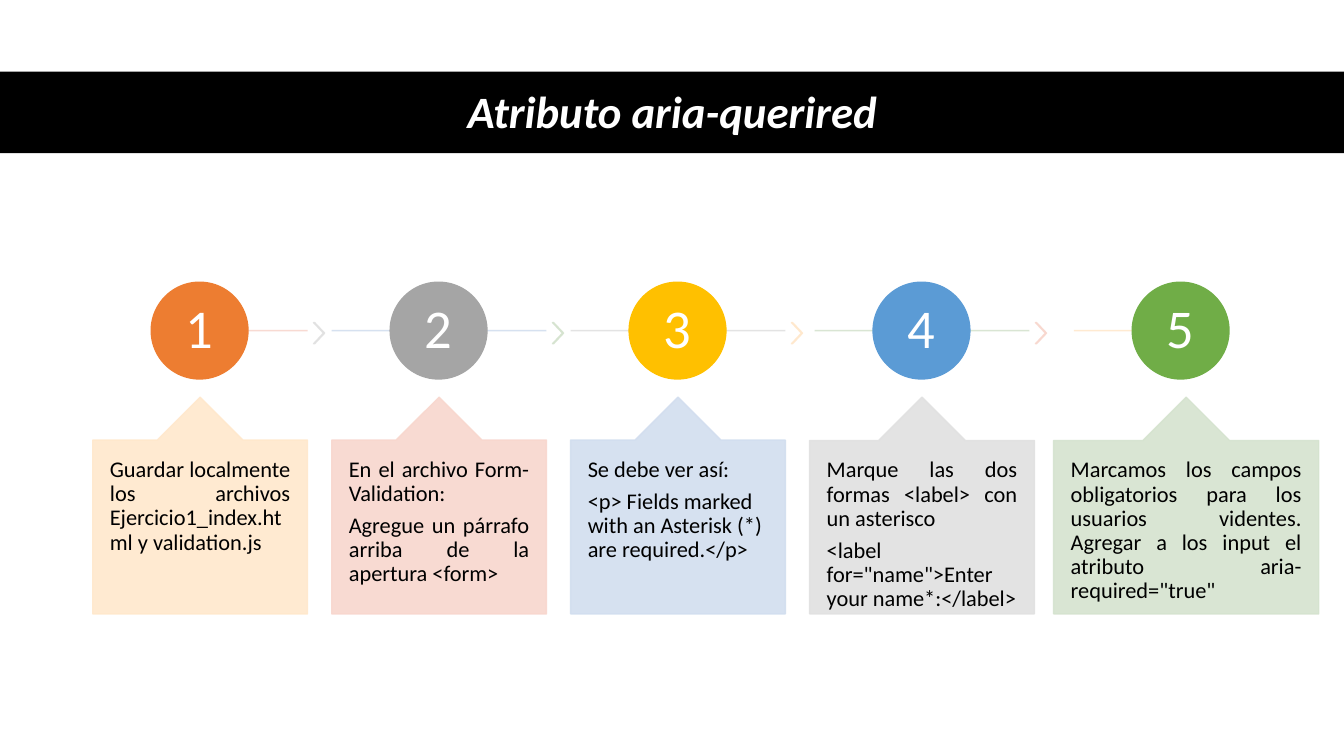
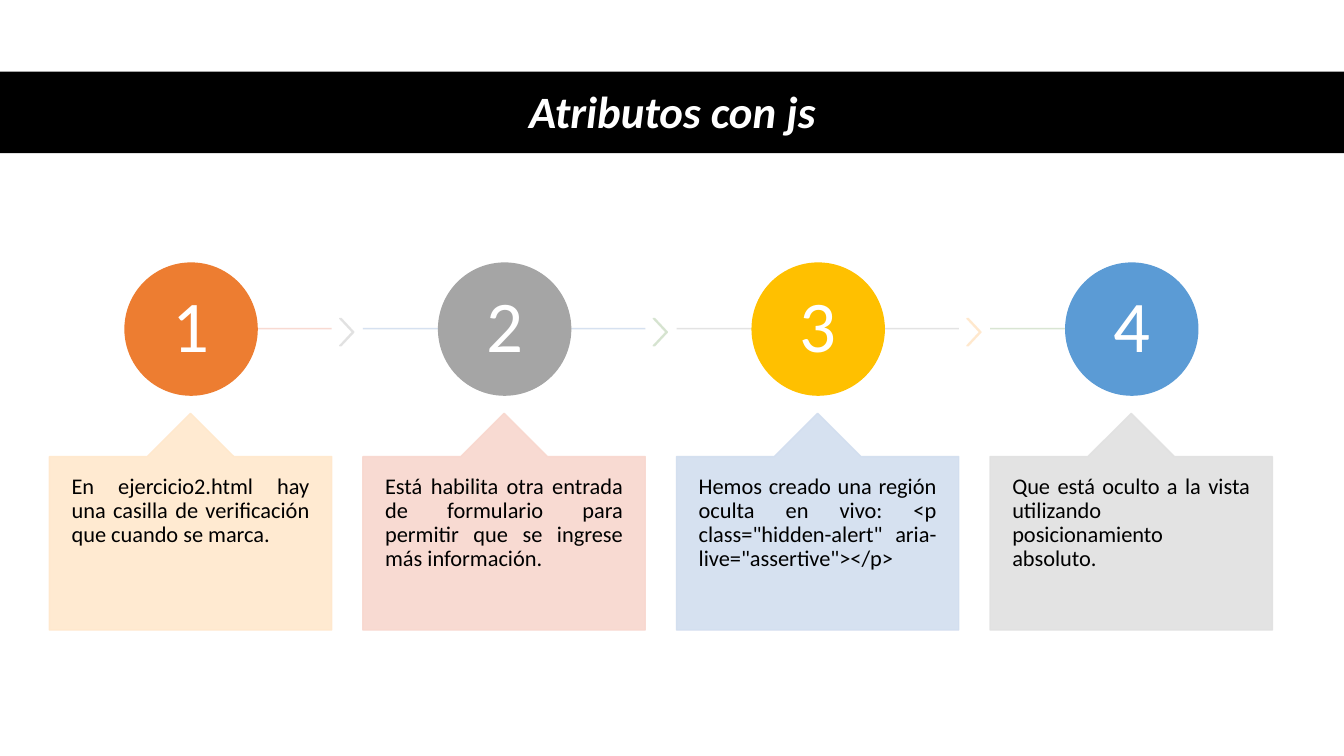
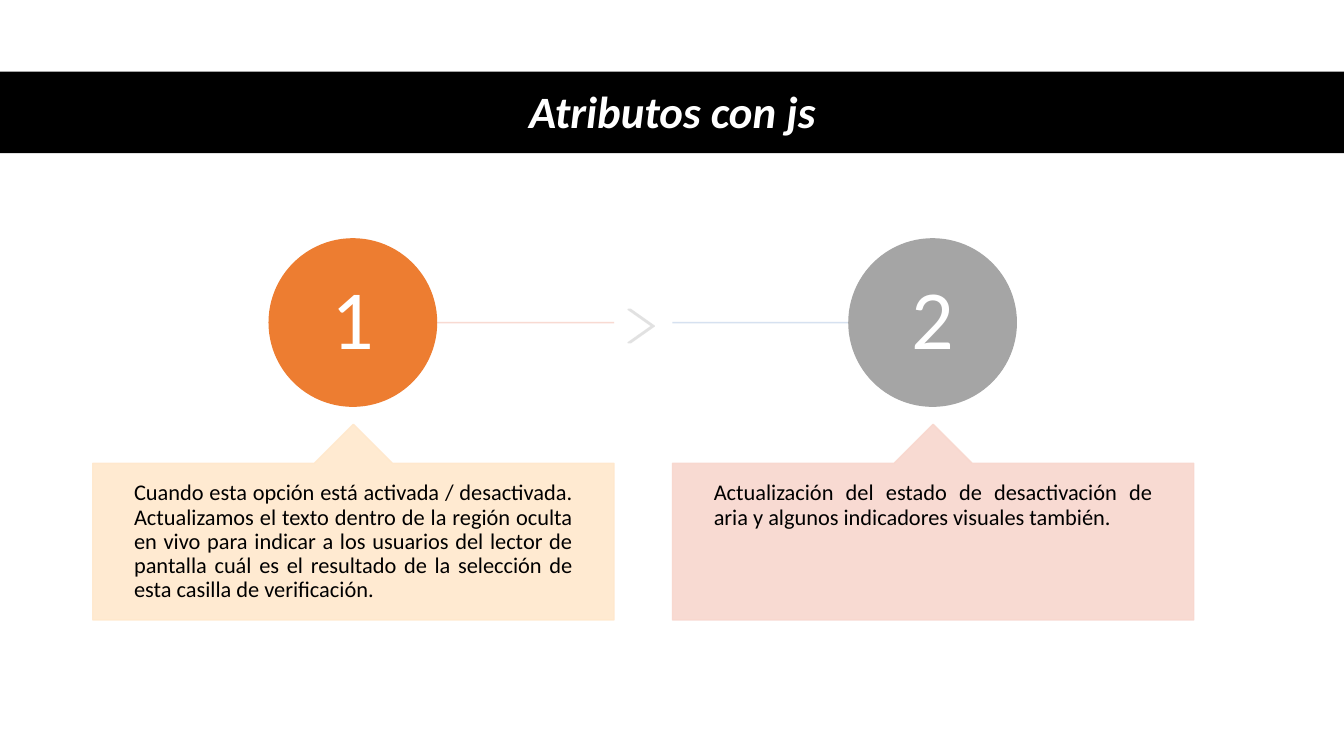
from dataclasses import dataclass

import lxml.etree
import pptx
import pptx.dml.color
import pptx.enum.shapes
import pptx.enum.text
import pptx.oxml.ns
import pptx.util

RGB = pptx.dml.color.RGBColor
KIND = pptx.enum.shapes.MSO_SHAPE
ALIGN = pptx.enum.text.PP_ALIGN
ANCHOR = pptx.enum.text.MSO_ANCHOR
Pt = pptx.util.Pt
qn = pptx.oxml.ns.qn

# Shared look
PX = 9144  # 100 px to the inch
WIDE, HIGH = 1333, 750
FONT = "Calibri"
BLACK = RGB(0x00, 0x00, 0x00)
WHITE = RGB(0xFF, 0xFF, 0xFF)
ORANGE = RGB(0xED, 0x7D, 0x31)
GRAY = RGB(0xA5, 0xA5, 0xA5)
GOLD = RGB(0xFF, 0xC0, 0x00)
BLUE = RGB(0x5B, 0x9B, 0xD5)
GREEN = RGB(0x70, 0xAD, 0x47)
PEACH = RGB(0xFF, 0xE8, 0xCC)
ROSE = RGB(0xF8, 0xD7, 0xCE)
SKY = RGB(0xD2, 0xDE, 0xEF)
SILVER = RGB(0xE1, 0xE1, 0xE1)
MINT = RGB(0xD5, 0xE3, 0xCF)
SOLIDS = [ORANGE, GRAY, GOLD, BLUE, GREEN]
TINTS = [PEACH, ROSE, SKY, SILVER, MINT]


@dataclass
class Step:
    text: list[str]
    align: ALIGN = ALIGN.JUSTIFY
    nudge: int = 0  # moves the slot to the right
    grow: int = 0   # widens the note around the slot
    shift: int = 0  # moves the note alone


@dataclass
class Flow:
    title: str
    left: int
    pitch: int
    width: int
    disc: tuple[int, int]              # top, size
    digit: int                         # points
    rail: int                          # height of the line
    arrow: tuple[int, int, int, int]   # gap, top, width, height
    note: tuple[int, int]              # top, height
    inset: int
    steps: list[Step]


FLOWS = [
    Flow("Atributo aria-querired", 92, 237, 213, (280, 96), 39, 328,
         (6, 320, 11, 21), (394, 215), 17, [
             Step(["Guardar localmente los archivos Ejercicio1_index.html y validation.js"]),
             Step(["En el archivo Form-Validation:",
                   "Agregue un párrafo arriba de la apertura <form>"]),
             Step(["Se debe ver así:",
                   "<p> Fields marked with an Asterisk (*) are required.</p>"], ALIGN.LEFT),
             Step(["Marque las dos formas <label> con un asterisco",
                   '<label for="name">Enter your name*:</label>'], nudge=5, grow=10),
             Step(["Marcamos los campos obligatorios para los usuarios videntes. "
                   'Agregar a los input el atributo aria-required="true"'],
                  nudge=25, grow=50, shift=5),
         ]),
    Flow("Atributos con js", 49, 311, 280, (261, 131), 52, 326,
         (8, 316, 14, 27), (410, 215), 22, [
             Step(["En ejercicio2.html hay una casilla de verificación que cuando se marca."]),
             Step(["Está habilita otra entrada de formulario para permitir que se "
                   "ingrese más información."]),
             Step(["Hemos creado una región oculta en vivo: "
                   '<p class="hidden-alert" aria-live="assertive"></p>']),
             Step(["Que está oculto a la vista utilizando posicionamiento absoluto."]),
         ]),
    Flow("Atributos con js", 92, 575, 517, (237, 166), 60, 320,
         (14, 307, 26, 33), (421, 194), 41, [
             Step(["Cuando esta opción está activada / desactivada. Actualizamos el texto "
                   "dentro de la región oculta en vivo para indicar a los usuarios del "
                   "lector de pantalla cuál es el resultado de la selección de esta "
                   "casilla de verificación."]),
             Step(["Actualización del estado de desactivación de aria y algunos "
                   "indicadores visuales también."]),
         ]),
]


def fade(shape) -> None:
    """Make the fill and line 90 % opaque."""
    for tone in shape._element.spPr.iter(qn("a:srgbClr")):
        lxml.etree.SubElement(tone, qn("a:alpha")).set("val", "90000")


def form(slide, kind: KIND, x: int, y: int, w: int, h: int, tone: RGB):
    shape = slide.shapes.add_shape(kind, x * PX, y * PX, w * PX, h * PX)
    shape.shadow.inherit = False
    shape.fill.solid()
    shape.fill.fore_color.rgb = tone
    shape.line.color.rgb = tone
    shape.line.width = Pt(1)
    return shape


def rail(slide, x: int, end: int, y: int, tone: RGB) -> None:
    line = slide.shapes.add_connector(
        pptx.enum.shapes.MSO_CONNECTOR.STRAIGHT, x * PX, y * PX, end * PX, y * PX)
    line.line.color.rgb = tone
    line.line.width = Pt(1)
    fade(line)
    lxml.etree.SubElement(line._element.spPr, qn("a:effectLst"))


def write(shape, lines: list[str], size: int, tone: RGB, align: ALIGN,
          anchor: ANCHOR, side: int, top: int, bold: bool = False) -> None:
    frame = shape.text_frame
    frame.word_wrap = True
    frame.vertical_anchor = anchor
    frame.margin_left = frame.margin_right = side * PX
    frame.margin_top = frame.margin_bottom = top * PX
    for i, line in enumerate(lines):
        para = frame.add_paragraph() if i else frame.paragraphs[0]
        para.alignment = align
        para.line_spacing = 0.9
        para.space_after = Pt(5.5 if i < len(lines) - 1 else 0)
        run = para.add_run()
        run.text = line
        run.font.name = FONT
        run.font.size = Pt(size)
        run.font.color.rgb = tone
        run.font.bold = run.font.italic = bold


def head(slide, title: str) -> None:
    band = form(slide, KIND.RECTANGLE, 0, 71, WIDE, 81, BLACK)
    band.line.fill.background()
    box = slide.shapes.add_textbox(92 * PX, 74 * PX, 1150 * PX, 78 * PX)
    write(box, [title], 32, WHITE, ALIGN.CENTER, ANCHOR.MIDDLE, 10, 5, True)


def draw(slide, flow: Flow, i: int, step: Step) -> None:
    x = flow.left + i * flow.pitch + step.nudge
    end = x + flow.width
    mid = x + flow.width // 2
    last = i == len(flow.steps) - 1

    # Line and arrow to the next step
    rail(slide, x if i else mid, mid if last else end, flow.rail,
         TINTS[(i + 1) % len(TINTS)])
    if not last:
        gap, top, w, h = flow.arrow
        arrow = form(slide, KIND.CHEVRON, end + gap, top, w, h,
                     TINTS[(i + 3) % len(TINTS)])
        arrow.adjustments[0] = 0.9
        fade(arrow)

    # Numbered disc
    top, size = flow.disc
    disc = form(slide, KIND.OVAL, mid - size // 2, top, size, size, SOLIDS[i])
    write(disc, [str(i + 1)], flow.digit, WHITE, ALIGN.CENTER, ANCHOR.MIDDLE, 4, 4)

    # Note below
    top, high = flow.note
    note = form(slide, KIND.UP_ARROW_CALLOUT, x - step.grow // 2 + step.shift, top,
                flow.width + step.grow, high, TINTS[i])
    for k, part in enumerate((0.5, 0.2, 0.2, 1)):
        note.adjustments[k] = part
    fade(note)
    write(note, step.text, 16, BLACK, step.align, ANCHOR.TOP, flow.inset, 18)


def main() -> None:
    deck = pptx.Presentation()
    deck.slide_width, deck.slide_height = WIDE * PX, HIGH * PX
    for flow in FLOWS:
        slide = deck.slides.add_slide(deck.slide_layouts[6])
        head(slide, flow.title)
        for i, step in enumerate(flow.steps):
            draw(slide, flow, i, step)
    deck.save("out.pptx")


if __name__ == "__main__":
    main()
